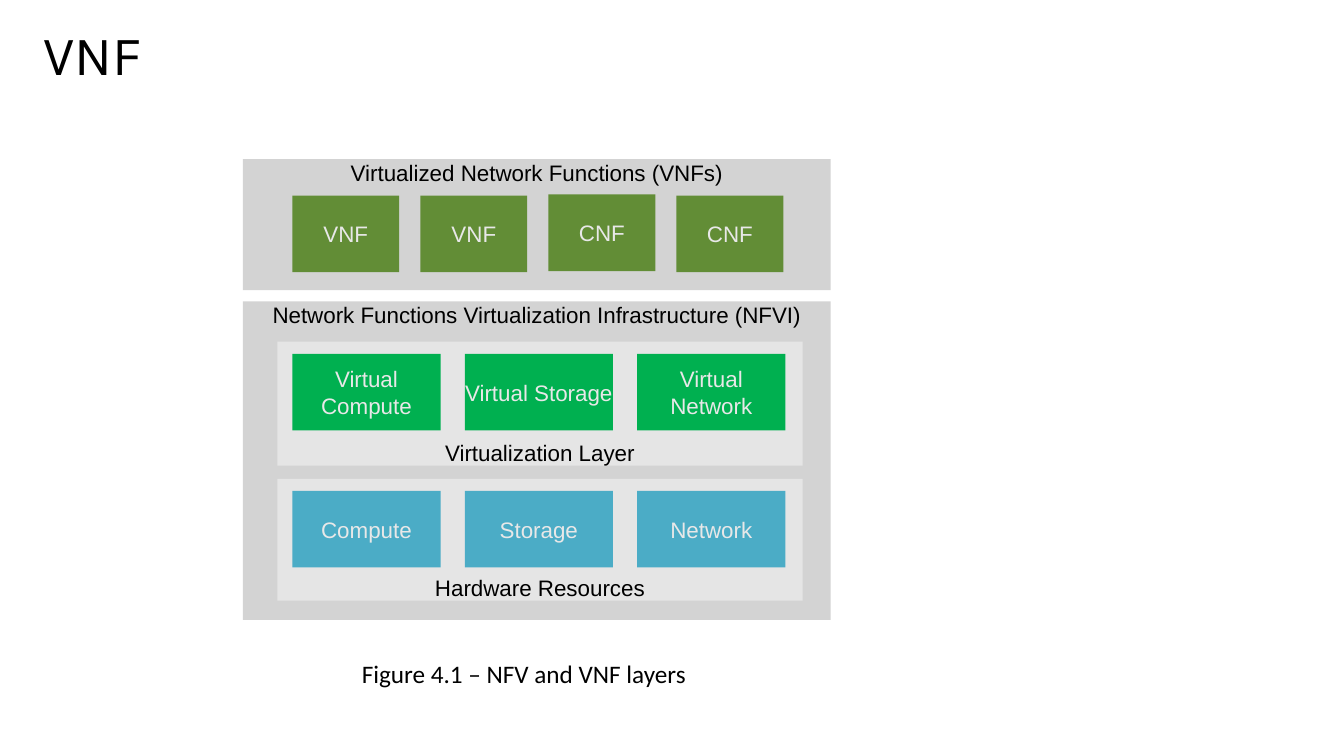
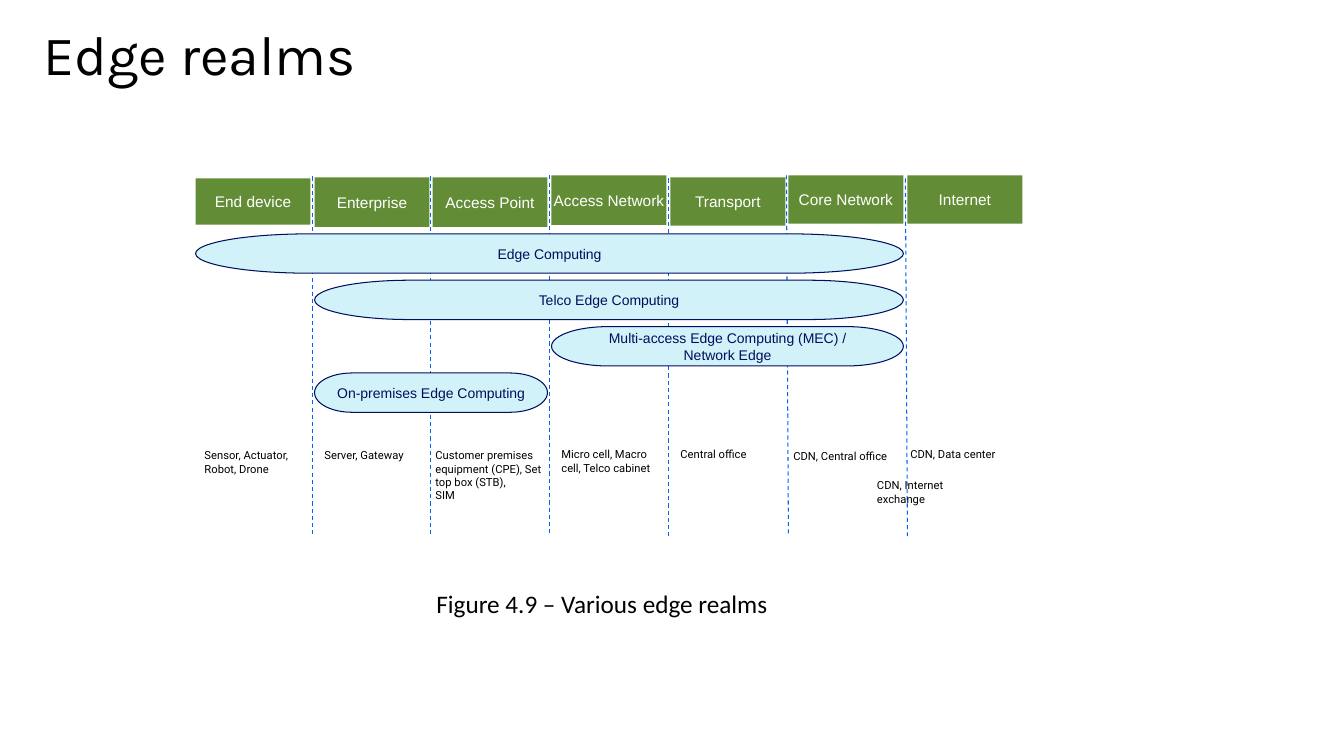
from lxml.etree import SubElement
from pptx import Presentation
from pptx.dml.color import RGBColor
from pptx.enum.dml import MSO_LINE
from pptx.enum.shapes import MSO_CONNECTOR, MSO_SHAPE
from pptx.enum.text import MSO_ANCHOR, MSO_AUTO_SIZE, PP_ALIGN
from pptx.oxml.ns import qn
from pptx.util import Emu, Pt

PX = 9144  # 100 px to the inch

BLACK = RGBColor(0x00, 0x00, 0x00)
WHITE = RGBColor(0xFF, 0xFF, 0xFF)
PANEL = RGBColor(0xD3, 0xD3, 0xD3)
LAYER = RGBColor(0xE5, 0xE5, 0xE5)
PALE = RGBColor(0xE8, 0xE8, 0xE8)
OLIVE = RGBColor(0x62, 0x8D, 0x36)
GREEN = RGBColor(0x00, 0xB0, 0x50)
TEAL = RGBColor(0x4B, 0xAC, 0xC6)
ICE = RGBColor(0xD0, 0xF2, 0xF8)
NAVY = RGBColor(0x00, 0x0E, 0x5E)
BLUE = RGBColor(0x00, 0x63, 0xFF)

TITLE_FONT = dict(name="Karla", size=Pt(39.6))
CAPTION_FONT = dict(name="Calibri", size=Pt(18))
LAYER_FONT = dict(name="Arial", size=Pt(16))
HEADER_FONT = dict(name="Arial", size=Pt(11))
REALM_FONT = dict(name="Arial", size=Pt(10))
NOTE_FONT = dict(name="Roboto", size=Pt(8))

TOP, MIDDLE, BOTTOM = MSO_ANCHOR.TOP, MSO_ANCHOR.MIDDLE, MSO_ANCHOR.BOTTOM


def px(*lengths):
    return [Emu(n * PX) for n in lengths]


def set_all(obj, **values):
    for name, value in values.items():
        setattr(obj, name, value)


def write(tf, text, font, color, align=PP_ALIGN.LEFT):
    """Fill a text frame, one paragraph for each line of text."""
    for i, line in enumerate(text.split("\n")):
        p = tf.add_paragraph() if i else tf.paragraphs[0]
        p.alignment = align
        r = p.add_run()
        r.text = line
        set_all(r.font, **font)
        r.font.color.rgb = color


def add_box(slide, box, text, fill, font, color, anchor=MIDDLE,
            kind=MSO_SHAPE.RECTANGLE, outline=None):
    sp = slide.shapes.add_shape(kind, *px(*box))
    sp.shadow.inherit = False
    sp.fill.solid()
    sp.fill.fore_color.rgb = fill
    if outline is None:
        sp.line.fill.background()
    else:
        sp.line.color.rgb = outline
        sp.line.width = Pt(0.75)
    set_all(sp.text_frame, word_wrap=True, vertical_anchor=anchor,
            margin_left=0, margin_top=0, margin_right=0, margin_bottom=0)
    write(sp.text_frame, text, font, color, PP_ALIGN.CENTER)


def add_text(slide, box, text, font):
    tf = slide.shapes.add_textbox(*px(*box)).text_frame
    tf.word_wrap = True
    write(tf, text, font, BLACK)


def add_divider(slide, x1, y1, x2, y2):
    line = slide.shapes.add_connector(MSO_CONNECTOR.STRAIGHT, *px(x1, y1, x2, y2))
    line.line.color.rgb = BLUE
    set_all(line.line, width=Pt(0.75), dash_style=MSO_LINE.DASH)
    SubElement(line._element.spPr, qn("a:effectLst"))


def add_titled_slide(prs, title):
    slide = prs.slides.add_slide(prs.slide_layouts[5])
    sp = slide.shapes.title
    left, top, width, height = px(33, 29, 600, 56)
    set_all(sp, left=left, top=top, width=width, height=height)
    set_all(sp.text_frame, word_wrap=True, auto_size=MSO_AUTO_SIZE.NONE,
            vertical_anchor=MIDDLE)
    write(sp.text_frame, title, TITLE_FONT, BLACK)
    sp.text_frame.paragraphs[0].line_spacing = 0.9
    return slide


def add_functions_panel(slide, box):
    x, y = box[:2]
    add_box(slide, box, "Virtualized Network Functions (VNFs)", PANEL,
            LAYER_FONT, BLACK, TOP)
    for i, (name, dy) in enumerate([("VNF", 36), ("VNF", 36), ("CNF", 35), ("CNF", 36)]):
        add_box(slide, (x + 49 + 127 * i, y + dy, 106, 76), name, OLIVE,
                LAYER_FONT, PALE)


def add_layer(slide, box, label, tiles, color):
    x, y = box[:2]
    add_box(slide, box, label, LAYER, LAYER_FONT, BLACK, BOTTOM)
    for i, name in enumerate(tiles):
        add_box(slide, (x + 15 + 171 * i, y + 12, 147, 76), name, color,
                LAYER_FONT, PALE)


def add_infrastructure_panel(slide, box):
    x, y = box[:2]
    add_box(slide, box, "Network Functions Virtualization Infrastructure (NFVI)",
            PANEL, LAYER_FONT, BLACK, TOP)
    resources = ["Compute", "Storage", "Network"]
    add_layer(slide, (x + 34, y + 40, 521, 123), "Virtualization Layer",
              [f"Virtual {name}" for name in resources], GREEN)
    add_layer(slide, (x + 34, y + 176, 521, 121), "Hardware Resources",
              resources, TEAL)


def build_vnf_slide(prs):
    slide = add_titled_slide(prs, "VNF")
    add_functions_panel(slide, (241, 158, 583, 130))
    add_infrastructure_panel(slide, (241, 299, 583, 316))
    add_text(slide, (349, 648, 347, 40), "Figure 4.1 – NFV and VNF layers",
             CAPTION_FONT)


# Column name, top offset, height
HEADERS = [
    ("End device", 3, 46), ("Enterprise", 2, 49), ("Access Point", 2, 49),
    ("Access Network", 0, 49), ("Transport", 2, 48), ("Core Network", 0, 48),
    ("Internet", 0, 48),
]
# Top offset, bottom offset and lean of the line before each later column
DIVIDERS = [(1, 357, 0), (1, 356, 0), (0, 356, 0), (3, 358, 0), (0, 356, 2), (3, 358, 2)]
# Name, first column, last column
REALMS = [
    ("Edge Computing", 0, 5),
    ("Telco Edge Computing", 1, 5),
    ("Multi-access Edge Computing (MEC) /\nNetwork Edge", 3, 5),
    ("On-premises Edge Computing", 1, 2),
]
# Text, column, offset from the column, top offset, width, height
NOTES = [
    ("Sensor, Actuator,\nRobot, Drone", 0, -1, 266, 114, 44),
    ("Server, Gateway", 1, 0, 266, 114, 28),
    ("Customer premises equipment (CPE), Set top box (STB),\nSIM", 2, -7, 266, 131, 76),
    ("Micro cell, Macro cell, Telco cabinet", 3, 0, 265, 119, 44),
    ("Central office", 4, 0, 265, 114, 28),
    ("CDN, Central office", 5, -5, 267, 114, 28),
    ("CDN, Data center", 6, -7, 265, 114, 28),
    ("CDN, Internet exchange", 6, -40, 296, 114, 44),
]


def add_realm_chart(slide, box):
    x, y, width = box
    col_w = 114
    cols = [x + round(i * (width - col_w) / 6) for i in range(7)]
    for left, (name, dy, height) in zip(cols, HEADERS):
        add_box(slide, (left, y + dy, col_w, height), name, OLIVE, HEADER_FONT, WHITE)
    for left, (start, end, lean) in zip(cols[1:], DIVIDERS):
        add_divider(slide, left - 2, y + start, left - 2 + lean, y + end)
    for i, (name, first, last) in enumerate(REALMS):
        span = cols[last] + col_w - cols[first]
        add_box(slide, (cols[first], y + 58 + 46 * i, span, 39), name, ICE,
                REALM_FONT, NAVY, kind=MSO_SHAPE.FLOWCHART_TERMINATOR, outline=NAVY)
    for text, col, dx, dy, note_w, note_h in NOTES:
        add_text(slide, (cols[col] + dx, y + dy, note_w, note_h), text, NOTE_FONT)


def build_edge_slide(prs):
    slide = add_titled_slide(prs, "Edge realms")
    add_realm_chart(slide, (194, 174, 820))
    add_text(slide, (423, 579, 350, 40), "Figure 4.9 – Various edge realms",
             CAPTION_FONT)


def main():
    prs = Presentation()
    prs.slide_width, prs.slide_height = px(1333, 750)
    build_vnf_slide(prs)
    build_edge_slide(prs)
    prs.save("out.pptx")


if __name__ == "__main__":
    main()
